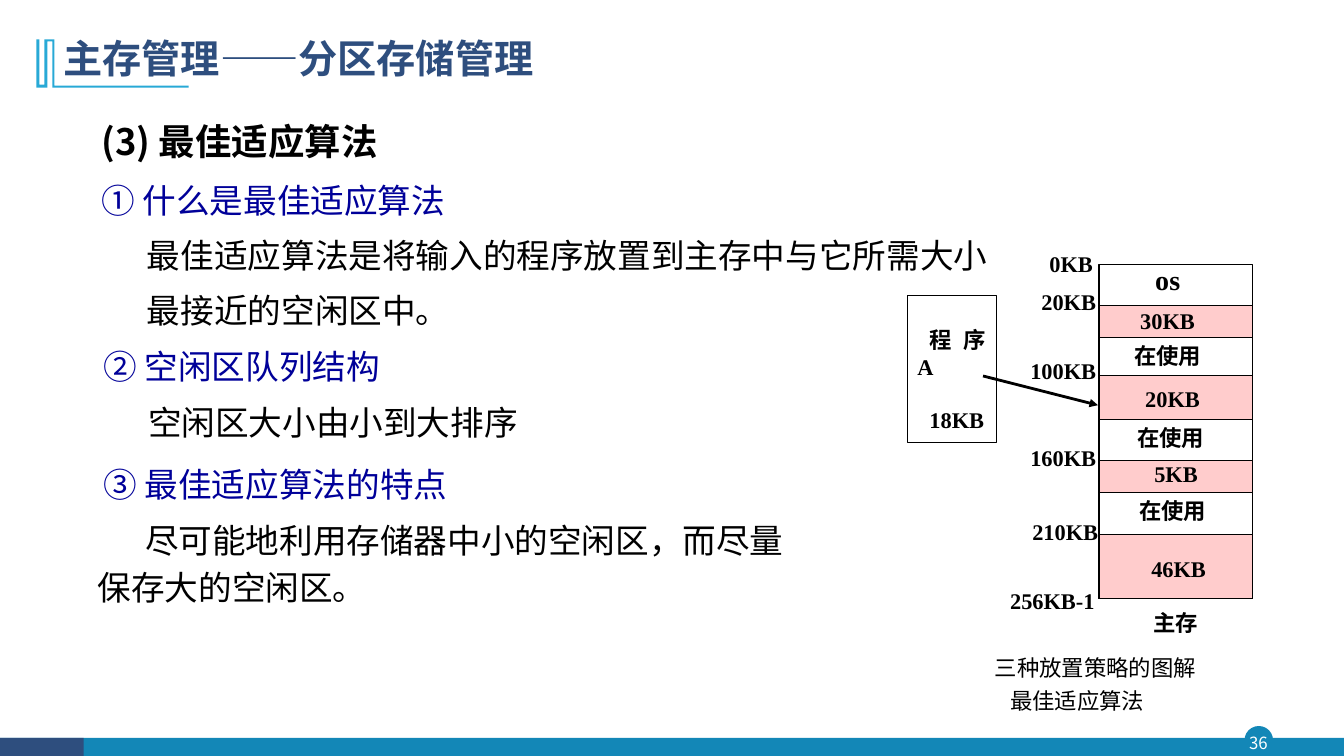
from pptx import Presentation, util as u
from pptx.dml import color
from pptx.enum import shapes, text
from pptx.oxml import ns
from lxml import etree

hue = color.RGBColor.from_string
SANS, SERIF = "Noto Sans CJK SC", "Times New Roman"
BLACK, WHITE, NAVY, TEAL, BLUE, PINK = "000000", "FFFFFF", "2E4E7E", "1387B7", "000099", "FFCCCC"
RECT = shapes.MSO_SHAPE.RECTANGLE

deck = Presentation()
deck.slide_width, deck.slide_height = u.Inches(13.33), u.Inches(7.5)
slide = deck.slides.add_slide(deck.slide_layouts[5])
tree = slide.shapes


def block(kind, x, y, w, h, fill, line=None, width=0.75):
    part = tree.add_shape(kind, *map(u.Inches, (x, y, w, h)))
    part.shadow.inherit = False
    part.fill.solid()
    part.fill.fore_color.rgb = hue(fill)
    if line:
        part.line.color.rgb = hue(line)
        part.line.width = u.Pt(width)
    else:
        part.line.fill.background()
    return part


def write(frame, lines, size=16, face=SERIF, ink=BLACK, bold=True):
    frame.word_wrap = True
    frame.text = "\n".join(lines)
    for para in frame.paragraphs:
        para.alignment = text.PP_ALIGN.LEFT
        if size == 16:
            para.line_spacing = u.Pt(19)
        for run in para.runs:
            font = run.font
            font.size, font.name, font.bold = u.Pt(size), face, bold
            font.color.rgb = hue(ink)
            east = etree.SubElement(run._r.get_or_add_rPr(), ns.qn("a:ea"))
            east.set("typeface", SANS)
    return frame.paragraphs


block(shapes.MSO_SHAPE.OVAL, 12.35, 7.21, 0.27, 0.27, TEAL, TEAL, 1)
block(RECT, 0, 7.32, 13.33, 0.18, TEAL)
block(RECT, 0, 7.32, 0.83, 0.18, NAVY)
page = tree.add_textbox(*map(u.Inches, (12.32, 7.21, 0.32, 0.31))).text_frame
page.margin_left = page.margin_right = page.margin_top = page.margin_bottom = 0
page.vertical_anchor = text.MSO_ANCHOR.MIDDLE
write(page, ["36"], 12, SANS, WHITE, False)[0].alignment = text.PP_ALIGN.CENTER

path = tree.build_freeform(54, 39, scale=u.Inches(0.01))
path.add_line_segments([
    (54, 85), (187, 85), (187, 87), (52, 87), (52, 41), (47, 41), (47, 87),
    (36, 87), (36, 39), (39, 39), (39, 84), (44, 84), (44, 39)])
mark = path.convert_to_shape()
mark.shadow.inherit = False
mark.fill.solid()
mark.fill.fore_color.rgb = hue("28A9D6")
mark.line.fill.background()

title = tree.title
title.left, title.top, title.width, title.height = map(u.Inches, (0.53, 0.34, 10.49, 0.56))
title.text_frame.vertical_anchor = text.MSO_ANCHOR.MIDDLE
title.text_frame.margin_bottom = u.Inches(0.09)
write(title.text_frame, ["主存管理——分区存储管理"], 28, SANS, NAVY)[0].line_spacing = 0.9

bodies = [
    ((0.91, 0.91, 9.16, 2.46), [
        ("(3) 最佳适应算法", BLACK, 0, 0, 47, 0),
        ("① 什么是最佳适应算法", BLUE, 0, 0, 34, 7),
        ("最佳适应算法是将输入的程序放置到主存中与它所需大小", BLACK, 0.45, 0, 34, 5.5),
        ("最接近的空闲区中。", BLACK, 0.45, 0, 34, 5.5)]),
    ((0.87, 3.24, 7.3, 2.85), [
        ("② 空闲区队列结构", BLUE, 0.06, 0, 39, 0),
        ("空闲区大小由小到大排序", BLACK, 0.5, 0, 34, 6),
        ("③ 最佳适应算法的特点", BLUE, 0.06, 0, 34, 10),
        ("尽可能地利用存储器中小的空闲区，而尽量保存大的空闲区。", BLACK, 0, 0.47, 34, 6)])]
for spot, rows in bodies:
    frame = tree.add_textbox(*map(u.Inches, spot)).text_frame
    paras = write(frame, [row[0] for row in rows], 24, bold=False)
    for para, (words, ink, left, first, pitch, gap) in zip(paras, rows):
        props = para._p.get_or_add_pPr()
        props.set("marL", str(u.Inches(left)))
        props.set("indent", str(u.Inches(first)))
        para.line_spacing, para.space_before = u.Pt(pitch), u.Pt(gap)
        font = para.runs[0].font
        font.color.rgb = hue(ink)
        if words.startswith("(3)"):
            font.size, font.bold, font.name = u.Pt(26), True, SANS

job = block(RECT, 9, 2.93, 0.88, 1.46, WHITE, BLACK).text_frame
job.vertical_anchor = text.MSO_ANCHOR.TOP
job.margin_top = u.Inches(0.31)
paras = write(job, ["程序A", "18KB"])
for para in paras:
    para.alignment = text.PP_ALIGN.JUSTIFY
    para._p.get_or_add_pPr().set("indent", str(u.Inches(0.12)))
paras[1].space_before = u.Pt(19)

edges = [2.62, 3.03, 3.35, 3.73, 4.16, 4.57, 4.89, 5.3, 5.94]
block(RECT, 10.9, edges[0], 1.52, edges[-1] - edges[0], WHITE, BLACK)
rules = [(10.91, y, 12.43, y, 0.75) for y in edges[1:-1]]
for x, y, end, low, width in rules + [(9.75, 3.73, 10.89, 4.02, 2)]:
    rule = tree.add_connector(shapes.MSO_CONNECTOR.STRAIGHT, *map(u.Inches, (x, y, end, low)))
    rule.line.color.rgb = hue(BLACK)
    rule.line.width = u.Pt(width)
    if width == 2:
        etree.SubElement(rule.line._get_or_add_ln(), ns.qn("a:tailEnd")).set("type", "triangle")
    etree.SubElement(rule._element.spPr, ns.qn("a:effectLst"))
for top, end in zip(edges[1::2], edges[2::2]):
    block(RECT, 10.9, top, 1.52, end - top, PINK, BLACK)

labels = [
    ("os", 11.36, 2.56, 0.56), ("30KB", 11.21, 3, 0.89), ("在使用", 11.15, 3.35, 1.16),
    ("20KB", 11.26, 3.77, 0.89), ("在使用", 11.18, 4.16, 0.94), ("5KB", 11.35, 4.52, 0.7),
    ("在使用", 11.2, 4.89, 0.92), ("46KB", 11.32, 5.46, 0.89), ("主存", 11.34, 6, 0.81),
    ("0KB", 10.31, 2.44, 0.8), ("20KB", 10.23, 2.81, 0.78), ("100KB", 10.12, 3.5, 0.92),
    ("160KB", 10.12, 4.36, 0.89), ("210KB", 10.14, 5.09, 0.92), ("256KB-1", 9.92, 5.78, 1.15)]
for words, x, y, w in labels:
    note = tree.add_textbox(*map(u.Inches, (x, y, w, 0.37)))
    write(note.text_frame, [words], 20 if words == "os" else 16)

frame = tree.add_textbox(*map(u.Inches, (9.77, 6.44, 2.33, 0.72))).text_frame
paras = write(frame, ["三种放置策略的图解", "最佳适应算法"], bold=False)
paras[1].space_before = u.Pt(5)
paras[1]._p.get_or_add_pPr().set("marL", str(u.Inches(0.15)))

deck.save("out.pptx")
